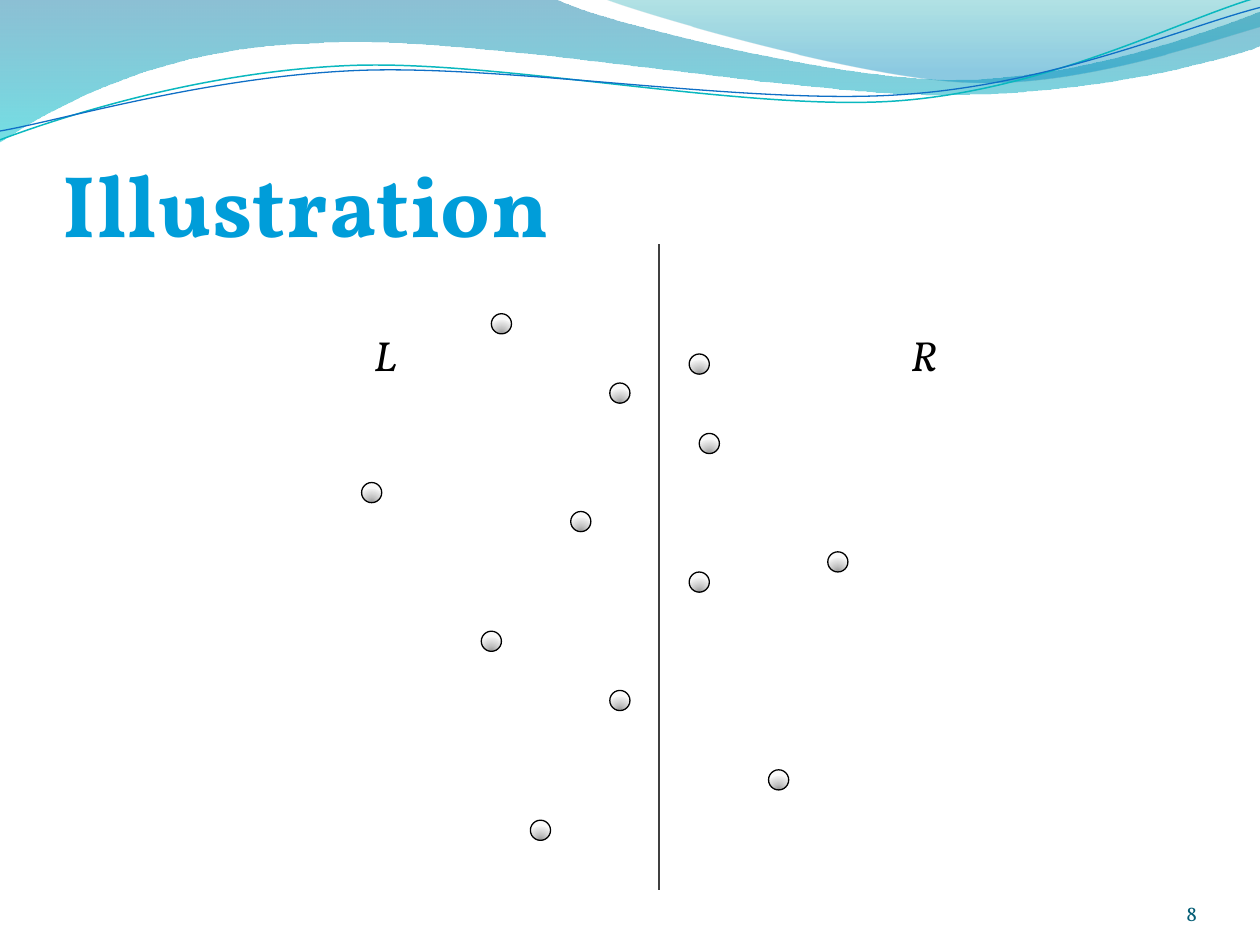
import math
import pptx
import pptx.util
import pptx.dml.color
import pptx.enum.shapes
import pptx.enum.text
import pptx.oxml
import pptx.oxml.ns
from pptx.util import Inches

COLORS = {
    "wave_top": "0074A1", "wave_bottom": "00C6CF",
    "crest_top": "00A1A9", "crest_bottom": "008BBF",
    "teal_line": "0AB8BF", "blue_line": "0F6FC6",
    "title_top": "009DD9", "title_bottom": "006F99",
    "number": "045D75", "divider": "404040", "black": "000000",
    "dot_dark": "979797", "dot_middle": "C6C6C6",
    "dot_light": "EEEEEE", "dot_edge": "F9F9F9",
}
FONT = "Vollkorn"
DOT_SIZE = 0.16
LINE_TILT = -2.7
LINEAR = '<a:lin ang="5400000" scaled="0"/>'
RADIAL = ('<a:path path="circle"><a:fillToRect l="50000" t="130000" '
          'r="50000" b="-30000"/></a:path>')


def rgb(name):
    return pptx.dml.color.RGBColor.from_string(COLORS[name])


def drawing_xml(text):
    namespace = pptx.oxml.ns.nsdecls("a")
    return pptx.oxml.parse_xml(text.replace(">", f" {namespace}>", 1))


def paint_gradient(fill, properties, stops, direction=LINEAR):
    fill.solid()
    stop_xml = "".join(
        f'<a:gs pos="{position * 1000}"><a:srgbClr val="{COLORS[name]}">'
        f'<a:alpha val="{alpha * 1000}"/></a:srgbClr></a:gs>'
        for position, name, alpha in stops)
    gradient = drawing_xml(
        f'<a:gradFill><a:gsLst>{stop_xml}</a:gsLst>{direction}</a:gradFill>')
    solid = properties.find(pptx.oxml.ns.qn("a:solidFill"))
    properties.replace(solid, gradient)


def turn(point, center, degrees):
    angle = math.radians(degrees)
    x, y = point[0] - center[0], point[1] - center[1]
    return (center[0] + x * math.cos(angle) - y * math.sin(angle),
            center[1] + x * math.sin(angle) + y * math.cos(angle))


def join_curves(shape, segments):
    lines = iter(list(shape._element.iter(pptx.oxml.ns.qn("a:lnTo"))))
    for segment in segments:
        line = next(lines)
        if isinstance(segment, list):
            curve = drawing_xml("<a:cubicBezTo></a:cubicBezTo>")
            line.addprevious(curve)
            for part in (line, next(lines), next(lines)):
                curve.append(part[0])
                part.getparent().remove(part)


def add_curve(slide, box, segments, closed, center=(0, 0), tilt=0):
    left, top = box[:2]
    outline = []
    for segment in segments:
        outline.extend(segment if isinstance(segment, list) else [segment])
    turned = [turn(point, center, -tilt) for point in outline]
    points = [(Inches(left + x), Inches(top + y)) for x, y in turned]
    builder = slide.shapes.build_freeform(*points[0])
    builder.add_line_segments(points[1:], close=closed)
    shape = builder.convert_to_shape()
    join_curves(shape, segments[1:])
    shape.rotation = tilt
    shape.shadow.inherit = False
    return shape


def add_header(slide, box):
    wave = [(0, 0), (4.4, -0.01),
            [(4.76, 0.17), (6.64, 0.63), (7.58, 0.63)],
            [(8.53, 0.63), (9.58, 0.26), (10, 0.09)], (10.01, 0.36),
            [(9.83, 0.44), (8.7, 0.76), (7.46, 0.75)],
            [(6.22, 0.75), (3.82, 0.28), (2.57, 0.34)],
            [(1.29, 0.36), (0.46, 0.83), (-0.01, 1.13)]]
    crest = [(4.79, -0.01),
             [(5.09, 0.11), (6.82, 0.62), (7.69, 0.65)],
             [(8.56, 0.69), (9.61, 0.32), (10, 0.21)], (10, 0)]
    bands = (
        (wave, [(0, "wave_top", 45), (100, "wave_bottom", 55)]),
        (crest, [(0, "crest_top", 30), (80, "crest_bottom", 45)]),
    )
    for segments, stops in bands:
        shape = add_curve(slide, box, segments, True)
        paint_gradient(shape.fill, shape._element.spPr, stops)
        shape.line.fill.background()

    teal = [(0, 1.11), [(0.48, 0.93), (1.58, 0.57), (2.77, 0.52)],
            [(3.95, 0.47), (5.93, 0.89), (7.13, 0.8)],
            [(8.33, 0.71), (9.38, 0.15), (9.98, -0.02)]]
    blue = [(0, 1.04), [(0.47, 0.96), (1.64, 0.61), (2.83, 0.56)],
            [(4.03, 0.51), (5.97, 0.84), (7.17, 0.75)],
            [(8.36, 0.67), (9.41, 0.21), (10, 0.06)]]
    lines = ((teal, "teal_line", 0.85, (4.99, 0.58)),
             (blue, "blue_line", 0.75, (5, 0.59)))
    for segments, color, width, center in lines:
        shape = add_curve(slide, box, segments, False, center, LINE_TILT)
        shape.fill.background()
        shape.line.color.rgb = rgb(color)
        shape.line.width = pptx.util.Pt(width)


def add_text(slide, box, text, size, color, wrap=True):
    shape = slide.shapes.add_textbox(*map(Inches, box))
    frame = shape.text_frame
    frame.word_wrap = wrap
    run = frame.paragraphs[0].add_run()
    run.text = text
    run.font.name = FONT
    run.font.size = pptx.util.Pt(size)
    run.font.color.rgb = rgb(color)
    return frame, run


def anchor_bottom(frame, top_inset=0):
    frame.vertical_anchor = pptx.enum.text.MSO_ANCHOR.BOTTOM
    frame.margin_left = frame.margin_right = frame.margin_bottom = 0
    frame.margin_top = Inches(top_inset)


def add_title(slide, box):
    frame, run = add_text(slide, box, "Illustration", 50, "title_top")
    anchor_bottom(frame, 0.05)
    run.font.bold = True
    properties = run.font._element
    properties.set("spc", "50")
    paint_gradient(run.font.fill, properties,
                   [(25, "title_top", 100), (100, "title_bottom", 100)])


def add_slide_number(slide, box):
    frame, run = add_text(slide, box, "8", 12, "number")
    anchor_bottom(frame)
    frame.paragraphs[0].alignment = pptx.enum.text.PP_ALIGN.RIGHT


def add_dot(slide, left, top):
    dot = slide.shapes.add_shape(
        pptx.enum.shapes.MSO_SHAPE.OVAL,
        *map(Inches, (left, top, DOT_SIZE, DOT_SIZE)))
    stops = [(0, "dot_dark", 100), (43, "dot_middle", 100),
             (93, "dot_light", 100), (100, "dot_edge", 100)]
    paint_gradient(dot.fill, dot._element.spPr, stops, RADIAL)
    dot.line.color.rgb = rgb("black")
    dot.line.width = pptx.util.Pt(0.75)
    dot.shadow.inherit = False


def add_point_sets(slide, box):
    left, top, width, height = box
    points = [(1.03, 0.55), (2.6, 0.87), (1.97, 1.1), (2.68, 1.5),
              (0, 1.89), (1.66, 2.12), (3.7, 2.44), (2.6, 2.6),
              (0.95, 3.07), (1.97, 3.54), (3.23, 4.17), (1.34, 4.57)]
    for x, y in points:
        add_dot(slide, left + x, top + y)

    middle = left + 2.36
    divider = slide.shapes.add_connector(
        pptx.enum.shapes.MSO_CONNECTOR.STRAIGHT,
        *map(Inches, (middle, top, middle, top + height)))
    divider.line.color.rgb = rgb("divider")
    divider.line.width = pptx.util.Pt(0.75)
    divider._element.spPr.append(drawing_xml("<a:effectLst></a:effectLst>"))

    for text, x, label_width in (("L", 0, 0.39), ("R", 4.26, 0.41)):
        frame, run = add_text(slide, (left + x, top + 0.63, label_width, 0.5),
                              text, 24, "black", wrap=False)
        frame.auto_size = pptx.enum.text.MSO_AUTO_SIZE.SHAPE_TO_FIT_TEXT
        run.font.italic = True


def main():
    presentation = pptx.Presentation()
    presentation.slide_width = Inches(10)
    presentation.slide_height = Inches(7.5)
    slide = presentation.slides.add_slide(presentation.slide_layouts[6])
    add_header(slide, (0, 0, 10, 1.14))
    add_title(slide, (0.5, 0.77, 9, 1.25))
    add_slide_number(slide, (8.67, 6.95, 0.83, 0.4))
    add_point_sets(slide, (2.87, 1.94, 4.67, 5.12))
    presentation.save("out.pptx")


if __name__ == "__main__":
    main()
